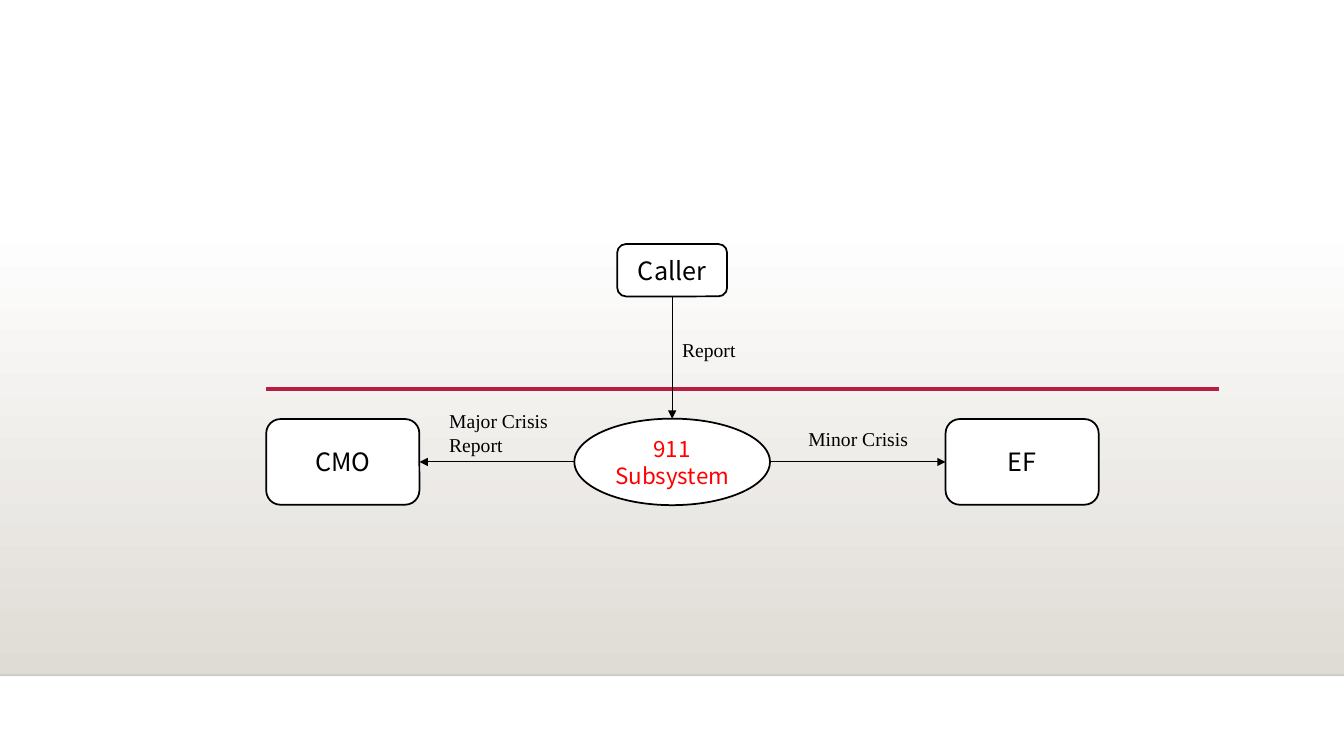
import dataclasses

import lxml.etree
import pptx
import pptx.dml.color
import pptx.enum.shapes
import pptx.enum.text
import pptx.oxml.ns
import pptx.util

Cm = pptx.util.Cm
Pt = pptx.util.Pt
RGBColor = pptx.dml.color.RGBColor
MSO_SHAPE = pptx.enum.shapes.MSO_SHAPE
PP_ALIGN = pptx.enum.text.PP_ALIGN
MSO_ANCHOR = pptx.enum.text.MSO_ANCHOR
qn = pptx.oxml.ns.qn

BLACK = RGBColor(0x00, 0x00, 0x00)
WHITE = RGBColor(0xFF, 0xFF, 0xFF)
RED = RGBColor(0xFF, 0x00, 0x00)
CRIMSON = RGBColor(0xB7, 0x1E, 0x42)
STONE = RGBColor(0xDF, 0xDB, 0xD5)
NODE_FONT = "Noto Sans CJK SC"
LABEL_FONT = "Times New Roman"

WIDTH = 33.87
HEIGHT = 19.05
CENTER_X = 16.94
ROW_Y = 11.64
FLOOR_Y = 17.02
HORIZON_Y = 5.61
RULE_Y = 9.8


@dataclasses.dataclass(frozen=True)
class Node:
    text: str
    cx: float
    cy: float
    width: float
    height: float
    shape: MSO_SHAPE = MSO_SHAPE.ROUNDED_RECTANGLE
    size: int = 18
    color: RGBColor = BLACK

    @property
    def left(self) -> float:
        return self.cx - self.width / 2

    @property
    def right(self) -> float:
        return self.cx + self.width / 2

    @property
    def top(self) -> float:
        return self.cy - self.height / 2

    @property
    def bottom(self) -> float:
        return self.cy + self.height / 2


@dataclasses.dataclass(frozen=True)
class Line:
    x1: float
    y1: float
    x2: float
    y2: float
    width: float = 0.75
    color: RGBColor = BLACK
    arrow: bool = False
    opacity: int = 100


@dataclasses.dataclass(frozen=True)
class Label:
    text: str
    left: float
    top: float
    width: float
    height: float


caller = Node("Caller", CENTER_X, 6.81, 2.77, 1.32)
hub = Node("911 Subsystem", CENTER_X, ROW_Y, 4.93, 2.18,
           MSO_SHAPE.OVAL, 16, RED)
cmo = Node("CMO", 8.64, ROW_Y, 3.86, 2.16)
ef = Node("EF", 25.76, ROW_Y, 3.86, 2.16)

RULES = [
    Line(0, FLOOR_Y, WIDTH, FLOOR_Y, 1, opacity=20),
    Line(cmo.left, RULE_Y, 30.71, RULE_Y, 2.5, CRIMSON),
]
NODES = [hub, caller, ef, cmo]
ARROWS = [
    Line(CENTER_X, caller.bottom, CENTER_X, hub.top, arrow=True),
    Line(hub.left, ROW_Y, cmo.right, ROW_Y, arrow=True),
    Line(hub.right, ROW_Y, ef.left, ROW_Y, arrow=True),
]
LABELS = [
    Label("Report", CENTER_X, 8.38, 2.49, 0.86),
    Label("Major Crisis Report", 11.07, 10.19, 3.23, 1.45),
    Label("Minor Crisis", 20.12, 10.64, 3.43, 0.86),
]


def write(sp, text: str, font: str, size: int, color: RGBColor,
          align: PP_ALIGN, anchor: MSO_ANCHOR) -> None:
    tf = sp.text_frame
    tf.word_wrap = True
    tf.vertical_anchor = anchor
    p = tf.paragraphs[0]
    p.alignment = align
    r = p.add_run()
    r.text = text
    for name, value in {"name": font, "size": Pt(size)}.items():
        setattr(r.font, name, value)
    r.font.color.rgb = color


def draw_backdrop(shapes) -> None:
    sp = shapes.add_shape(MSO_SHAPE.RECTANGLE, Cm(0), Cm(HORIZON_Y),
                          Cm(WIDTH), Cm(FLOOR_Y - HORIZON_Y))
    sp.shadow.inherit = False
    sp.line.fill.background()
    sp.fill.gradient()
    sp.fill.gradient_angle = 270
    for stop, color in zip(sp.fill.gradient_stops, (WHITE, STONE)):
        stop.color.rgb = color


def draw_node(shapes, node: Node) -> None:
    sp = shapes.add_shape(node.shape, Cm(node.left), Cm(node.top),
                          Cm(node.width), Cm(node.height))
    sp.shadow.inherit = False
    sp.fill.solid()
    sp.fill.fore_color.rgb = WHITE
    sp.line.color.rgb = BLACK
    sp.line.width = Pt(1.25)
    write(sp, node.text, NODE_FONT, node.size, node.color,
          PP_ALIGN.CENTER, MSO_ANCHOR.MIDDLE)


def draw_line(shapes, line: Line) -> None:
    sp = shapes.add_connector(pptx.enum.shapes.MSO_CONNECTOR.STRAIGHT,
                              Cm(line.x1), Cm(line.y1),
                              Cm(line.x2), Cm(line.y2))
    sp.line.color.rgb = line.color
    sp.line.width = Pt(line.width)
    pr = sp._element.spPr
    ln = pr.find(qn("a:ln"))
    if line.opacity < 100:
        lxml.etree.SubElement(ln.find(".//" + qn("a:srgbClr")),
                              qn("a:alpha"), val=str(line.opacity * 1000))
    if line.arrow:
        lxml.etree.SubElement(ln, qn("a:tailEnd"), type="triangle")
    lxml.etree.SubElement(pr, qn("a:effectLst"))


def draw_label(shapes, label: Label) -> None:
    sp = shapes.add_textbox(Cm(label.left), Cm(label.top),
                            Cm(label.width), Cm(label.height))
    write(sp, label.text, LABEL_FONT, 14, BLACK,
          PP_ALIGN.LEFT, MSO_ANCHOR.TOP)
    sp.text_frame.auto_size = pptx.enum.text.MSO_AUTO_SIZE.SHAPE_TO_FIT_TEXT


prs = pptx.Presentation()
prs.slide_width = Cm(WIDTH)
prs.slide_height = Cm(HEIGHT)
shapes = prs.slides.add_slide(prs.slide_layouts[6]).shapes

draw_backdrop(shapes)
for draw, items in ((draw_line, RULES), (draw_node, NODES),
                    (draw_line, ARROWS), (draw_label, LABELS)):
    for item in items:
        draw(shapes, item)

prs.save("out.pptx")
